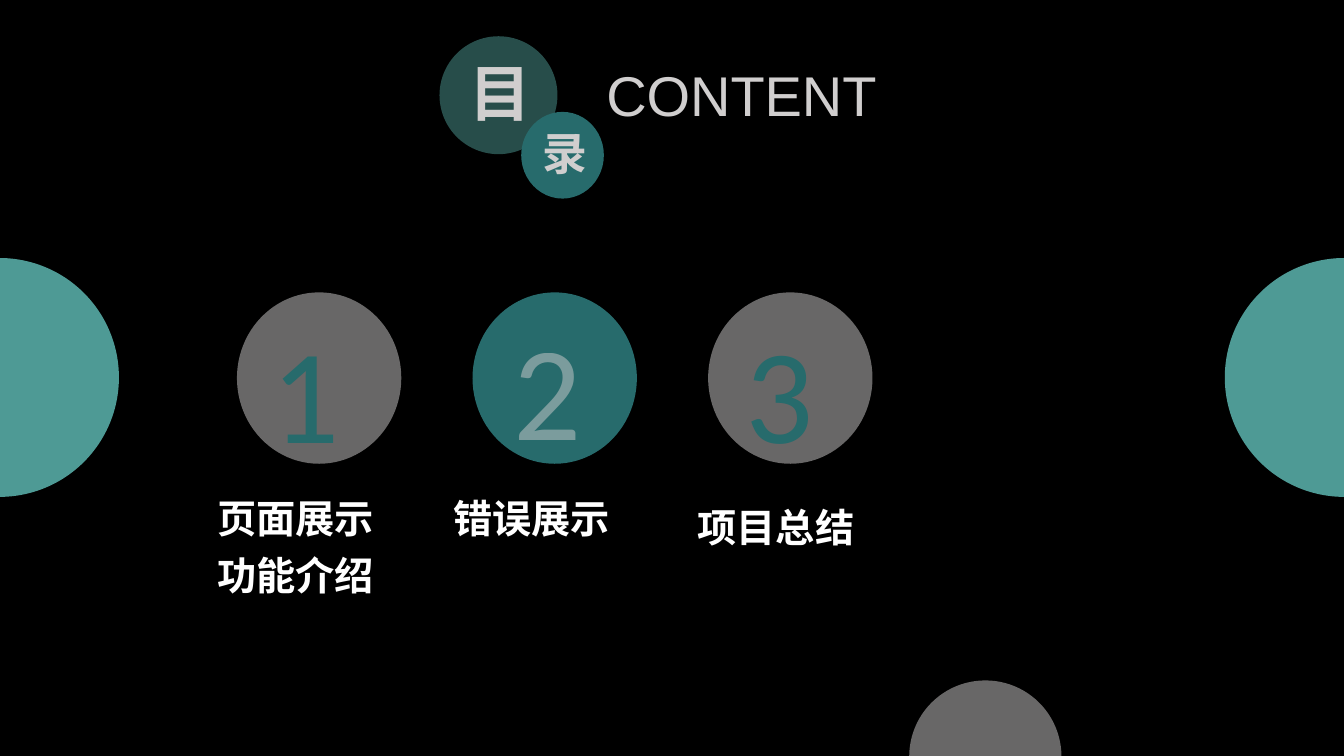
"""Build a dark contents slide with numbered circles; lengths are percentages of the slide."""
from typing import NamedTuple

from lxml import etree
from pptx import Presentation
from pptx.dml.color import RGBColor
from pptx.enum.shapes import MSO_SHAPE
from pptx.enum.text import MSO_AUTO_SIZE, PP_ALIGN
from pptx.oxml.ns import qn
from pptx.util import Inches, Pt

OVAL = MSO_SHAPE.OVAL
GROW = MSO_AUTO_SIZE.SHAPE_TO_FIT_TEXT
LEFT, CENTER = PP_ALIGN.LEFT, PP_ALIGN.CENTER

SLIDE_WIDTH, SLIDE_HEIGHT = Inches(13.333), Inches(7.5)
BLACK, WHITE, SILVER = "000000", "FFFFFF", "D0CECE"
TEAL, DEEP_TEAL = "4E9A95", "276B6C"
HAN_FONT, NUMBER_FONT, TITLE_FONT = "Noto Sans CJK JP", "Calibri", "Arial"
COLUMN_STEP, LINE_STEP = 17.53, 7.6


class Box(NamedTuple):
    left: float
    top: float
    width: float
    height: float


class Circle(NamedTuple):
    box: Box
    color: str
    opacity: int = 100


class Label(NamedTuple):
    box: Box
    text: str
    size: int
    font: str
    color: str
    opacity: int = 100
    bold: bool = False
    alignment: PP_ALIGN = LEFT


class Topic(NamedTuple):
    circle_color: str
    circle_opacity: int
    number_color: str
    number_opacity: int
    number_left: float
    number_top: float
    caption_top: float
    captions: tuple[str, ...]


TOPICS = [
    Topic(SILVER, 50, DEEP_TEAL, 100, 19.5, 40.27, 64.67, ("页面展示", "功能介绍")),
    Topic(DEEP_TEAL, 100, SILVER, 50, 37.5, 39.87, 64.67, ("错误展示",)),
    Topic(SILVER, 50, DEEP_TEAL, 100, 54.75, 40.27, 65.87, (" 项目总结",)),
]

EDGE_CIRCLES = [
    Circle(Box(-8.93, 34.13, 17.78, 31.6), TEAL),
    Circle(Box(91.13, 34.13, 17.78, 31.6), TEAL),
    Circle(Box(67.65, 90, 11.33, 20.13), SILVER, 50),
]

HEADING = [
    Circle(Box(32.7, 4.8, 8.78, 15.6), TEAL, 50),
    Label(Box(34.2, 6.67, 5.78, 11.2), "目", 44, HAN_FONT, SILVER, bold=True, alignment=CENTER),
    Circle(Box(38.78, 14.8, 6.15, 11.47), DEEP_TEAL),
    Label(Box(39.6, 16, 4.58, 8.53), "录", 32, HAN_FONT, SILVER, bold=True, alignment=CENTER),
    Label(Box(42.98, 7.33, 24.38, 10.27), "CONTENT", 40, TITLE_FONT, SILVER, alignment=CENTER),
]


def place(box: Box) -> tuple[int, int, int, int]:
    """Turn percentages of the slide into lengths."""
    return (
        int(SLIDE_WIDTH * box.left / 100),
        int(SLIDE_HEIGHT * box.top / 100),
        int(SLIDE_WIDTH * box.width / 100),
        int(SLIDE_HEIGHT * box.height / 100),
    )


def paint(fill, color: str, opacity: int = 100) -> None:
    """Apply a solid colour, with transparency when it is not opaque."""
    fill.solid()
    fill.fore_color.rgb = RGBColor.from_string(color)
    if opacity < 100:
        color_element = fill._xPr.find(qn("a:solidFill"))[0]
        etree.SubElement(color_element, qn("a:alpha"), val=str(opacity * 1000))


def draw_circle(slide, circle: Circle) -> None:
    """Draw a borderless circle."""
    shape = slide.shapes.add_shape(OVAL, *place(circle.box))
    shape.shadow.inherit = False
    shape.line.fill.background()
    paint(shape.fill, circle.color, circle.opacity)


def draw_label(slide, label: Label) -> None:
    """Draw one line of text."""
    text_frame = slide.shapes.add_textbox(*place(label.box)).text_frame
    text_frame.word_wrap = True
    text_frame.auto_size = GROW
    text_frame.text = label.text
    paragraph = text_frame.paragraphs[0]
    paragraph.alignment = label.alignment
    font = paragraph.runs[0].font
    font.size = Pt(label.size)
    font.bold = label.bold
    paint(font.fill, label.color, label.opacity)
    font.name = label.font
    latin = font._rPr.find(qn("a:latin"))
    latin.addnext(etree.Element(qn("a:ea"), typeface=label.font))


def draw_topic(slide, column: int, topic: Topic) -> None:
    """Draw a numbered circle with its captions below."""
    offset = column * COLUMN_STEP
    circle_box = Box(17.63 + offset, 38.67, 12.23, 22.67)
    draw_circle(slide, Circle(circle_box, topic.circle_color, topic.circle_opacity))
    number_box = Box(topic.number_left, topic.number_top, 7.95, 22.93)
    draw_label(slide, Label(number_box, str(column + 1), 96, NUMBER_FONT,
                            topic.number_color, topic.number_opacity))
    for line, caption in enumerate(topic.captions):
        caption_box = Box(15.45 + offset, topic.caption_top + line * LINE_STEP, 16.5, LINE_STEP)
        draw_label(slide, Label(caption_box, caption, 28, HAN_FONT, WHITE, bold=True))


def main() -> None:
    """Build and save the presentation."""
    presentation = Presentation()
    presentation.slide_width, presentation.slide_height = SLIDE_WIDTH, SLIDE_HEIGHT
    slide = presentation.slides.add_slide(presentation.slide_layouts[6])
    paint(slide.background.fill, BLACK)
    for circle in EDGE_CIRCLES:
        draw_circle(slide, circle)
    for column, topic in enumerate(TOPICS):
        draw_topic(slide, column, topic)
    for item in HEADING:
        if isinstance(item, Circle):
            draw_circle(slide, item)
        else:
            draw_label(slide, item)
    presentation.save("out.pptx")


if __name__ == "__main__":
    main()
